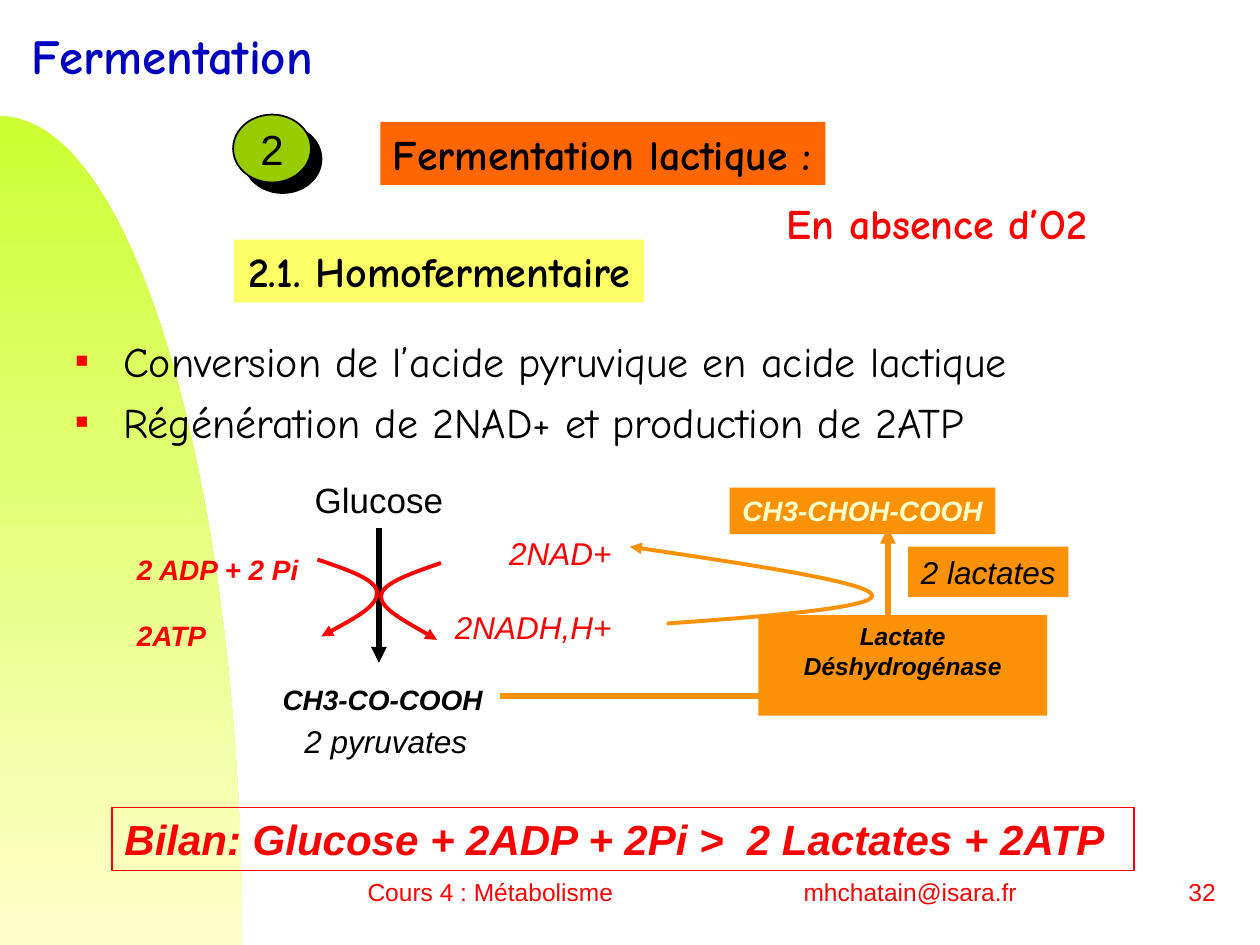
from pptx import Presentation
from pptx import util as u
from pptx.dml.color import RGBColor
from pptx.enum import shapes, text
from pptx.oxml import ns, xmlchemy

LEFT, CENTER, RIGHT = text.PP_ALIGN.LEFT, text.PP_ALIGN.CENTER, text.PP_ALIGN.RIGHT
BLACK, RED, ORANGE, CREAM = "000000", "FF0000", "FA9106", "FFFFCC"
TITLE_FONT, LABEL_FONT = "Comic Neue", "Arial"


def color(value):
    return RGBColor.from_string(value)


def add_xml(parent, tag, **attributes):
    child = xmlchemy.OxmlElement(tag)
    for name, value in attributes.items():
        child.set(name, str(value))
    parent.append(child)
    return child


def write(box, content, size=18, ink=BLACK, font=LABEL_FONT, bold=False, italic=False,
          align=CENTER, anchor=text.MSO_ANCHOR.TOP, wrap=False, gap=0, bullet=None):
    """Fill the box with one paragraph per line; gap is the space between them in points."""
    frame = box.text_frame
    frame.auto_size = text.MSO_AUTO_SIZE.NONE
    frame.word_wrap = wrap
    frame.vertical_anchor = anchor
    for index, line in enumerate(content.split("\n")):
        para = frame.add_paragraph() if index else frame.paragraphs[0]
        if bullet:
            add_bullet(para, bullet)
        para.alignment = align
        para.space_before = u.Pt(gap if index else 0)
        span = para.add_run()
        span.text = line
        span.font.name, span.font.size = font, u.Pt(size)
        span.font.bold, span.font.italic = bold, italic
        span.font.color.rgb = color(ink)


def add_bullet(para, ink):
    properties = para._p.get_or_add_pPr()
    properties.set("marL", str(u.Cm(0.96)))
    properties.set("indent", str(-u.Cm(0.96)))
    add_xml(add_xml(properties, "a:buClr"), "a:srgbClr", val=ink)
    add_xml(properties, "a:buSzPct", val=50000)
    add_xml(properties, "a:buFont", typeface=LABEL_FONT)
    add_xml(properties, "a:buChar", char="■")


def add_arrowhead(shape, end):
    outline = shape.element.spPr.find(ns.qn("a:ln"))
    add_xml(outline, f"a:{end}End", type="triangle")


def bend(shape):
    """Turn each three line segments of a freeform into one cubic curve."""
    for path in shape.element.iter(ns.qn("a:path")):
        lines = path.findall(ns.qn("a:lnTo"))
        for start in range(0, len(lines) - 2, 3):
            curve = xmlchemy.OxmlElement("a:cubicBezTo")
            lines[start].addprevious(curve)
            for line in lines[start:start + 3]:
                curve.append(line[0])
                path.remove(line)


class SlideBuilder:
    """Places elements on one slide, with lengths in centimetres."""

    def __init__(self, slide):
        self.slide = slide
        self.items = slide.shapes

    def placeholder(self, index, area, content, **style):
        box = self.slide.placeholders[index]
        box.left, box.top, box.width, box.height = map(u.Cm, area)
        write(box, content, font=TITLE_FONT, align=LEFT, **style)

    def label(self, area, content, **style):
        box = self.items.add_textbox(*map(u.Cm, area))
        write(box, content, **style)
        return box

    def panel(self, area, content, fill=None, line=None,
              kind=shapes.MSO_SHAPE.RECTANGLE, **style):
        box = self.items.add_shape(kind, *map(u.Cm, area))
        box.shadow.inherit = False
        if fill:
            box.fill.solid()
            box.fill.fore_color.rgb = color(fill)
        else:
            box.fill.background()
        if line:
            box.line.color.rgb = color(line)
            box.line.width = u.Pt(1)
        else:
            box.line.fill.background()
        write(box, content, **style)
        return box

    def outline(self, points, close=False):
        first, *rest = [(u.Cm(x), u.Cm(y)) for x, y in points]
        builder = self.items.build_freeform(*first)
        builder.add_line_segments(rest, close=close)
        shape = builder.convert_to_shape()
        shape.shadow.inherit = False
        return shape

    def path_arrow(self, points, ink, width=2.25, end="tail", curved=True):
        shape = self.outline(points)
        shape.fill.background()
        shape.line.color.rgb = color(ink)
        shape.line.width = u.Pt(width)
        add_arrowhead(shape, end)
        if curved:
            bend(shape)

    def arrow_down(self, origin, x, top, bottom):
        arrow = self.items.add_connector(
            shapes.MSO_CONNECTOR.STRAIGHT, *map(u.Cm, (x, top, x, bottom)))
        arrow.begin_connect(origin, 2)
        arrow.line.color.rgb = color(BLACK)
        arrow.line.width = u.Pt(3)
        add_arrowhead(arrow, "tail")
        add_xml(arrow.element.spPr, "a:effectLst")

    def backdrop(self, points, top_color, bottom_color):
        shape = self.outline(points, close=True)
        bend(shape)
        shape.line.fill.background()
        shape.fill.gradient()
        shape.fill.gradient_angle = 270
        for stop, value in zip(shape.fill.gradient_stops, (top_color, bottom_color)):
            stop.color.rgb = color(value)
        self.items.element.insert(2, shape.element)

    def numbered_disc(self, area, number):
        disc = self.panel(area, number, fill="99CC00", line=BLACK, size=24,
                          kind=shapes.MSO_SHAPE.OVAL, anchor=text.MSO_ANCHOR.MIDDLE)
        effects = disc.element.spPr.find(ns.qn("a:effectLst"))
        shadow = add_xml(effects, "a:outerShdw", dist=u.Pt(8.5), dir=45 * 60000,
                         algn="ctr", rotWithShape=0)
        add_xml(shadow, "a:srgbClr", val="010000")


def main():
    deck = Presentation()
    deck.slide_width, deck.slide_height = u.Cm(25.4), u.Cm(19.05)
    page = SlideBuilder(deck.slides.add_slide(deck.slide_layouts[1]))
    middle = text.MSO_ANCHOR.MIDDLE
    heading = dict(size=24, font=TITLE_FONT, bold=True)
    formula = dict(size=16, bold=True, italic=True)

    page.backdrop([(0, 2.34), (2.69, 2.34), (4.88, 9.83), (4.88, 19.05), (0, 19.05)],
                  "CCFF33", CREAM)
    page.placeholder(0, (0.38, 0.38, 14.33, 1.45), "Fermentation",
                     size=28, ink="0000BF", bold=True, wrap=True)
    page.placeholder(1, (1.27, 6.63, 23.24, 2.79),
                     "Conversion de l’acide pyruvique en acide lactique\n"
                     "Régénération de 2NAD+ et production de 2ATP",
                     size=24, ink="010000", gap=6, bullet=RED, wrap=True)

    # Headings
    page.numbered_disc((4.7, 2.31, 1.57, 1.37), "2")
    page.label((12.88, 3.68, 12.01, 1.63), "En absence d’O2", ink=RED,
               anchor=middle, wrap=True, **heading)
    page.panel((7.67, 2.46, 8.97, 1.27), "Fermentation lactique :", fill="FF6600",
               align=LEFT, **heading)
    page.panel((4.72, 4.83, 8.26, 1.27), "2.1. Homofermentaire", fill="FFFF66", **heading)

    # Glucose to pyruvate
    glucose = page.label((6.09, 9.53, 3.1, 1.11), "Glucose", size=20)
    page.arrow_down(glucose, 7.64, 10.64, 13.36)
    page.label((5.44, 13.64, 4.55, 0.94), "CH3-CO-COOH", **formula)
    page.label((5.89, 14.43, 3.78, 1.02), "2 pyruvates", italic=True)

    # Pyruvate to lactate
    page.panel((14.71, 9.83, 5.36, 0.94), "CH3-CHOH-COOH", fill=ORANGE, ink=CREAM, **formula)
    page.path_arrow([(17.9, 10.64), (17.9, 14.03), (10.09, 14.03)], ORANGE,
                    width=3, end="head", curved=False)
    page.panel((18.31, 11.02, 3.23, 1.02), "2 lactates", fill=ORANGE, italic=True)

    # Cofactors
    page.label((8.92, 10.64, 3.66, 2.54), "2NAD+\n2NADH,H+", ink=RED, italic=True,
               align=RIGHT, gap=20.7)
    page.label((2.51, 11.02, 3.81, 2.29), "2 ADP + 2 Pi\n2ATP", ink=RED,
               align=LEFT, gap=18.4, **formula)
    page.path_arrow([(6.4, 11.28), (6.99, 11.48), (7.59, 11.68), (7.6, 11.94),
                     (7.62, 12.22), (7.04, 12.52), (6.48, 12.83)], RED)
    page.path_arrow([(8.89, 11.35), (8.28, 11.56), (7.7, 11.76), (7.68, 12.01),
                     (7.67, 12.27), (8.26, 12.57), (8.81, 12.9)], RED)
    page.path_arrow([(13.44, 12.57), (15.57, 12.42), (17.7, 12.24), (17.58, 11.99),
                     (17.45, 11.73), (15.09, 11.38), (12.7, 11.02)], ORANGE)
    page.panel((15.29, 12.4, 5.82, 2.03), "Lactate\nDéshydrogénase", fill=ORANGE,
               size=14, bold=True, italic=True, wrap=True)

    # Balance and footer
    page.panel((2.26, 16.28, 20.6, 1.27), "Bilan: Glucose + 2ADP + 2Pi >  2 Lactates + 2ATP",
               line=RED, size=24, ink=RED, bold=True, italic=True, align=LEFT)
    footer = dict(size=14, ink=RED, anchor=middle, wrap=True)
    page.label((7.16, 17.35, 5.5, 1.27), "Cours 4 : Métabolisme", align=LEFT, **footer)
    page.label((15.95, 17.35, 5.5, 1.27), "mhchatain@isara.fr", align=LEFT, **footer)
    page.label((19.48, 17.35, 5.28, 1.27), "32", align=RIGHT, **footer)
    deck.save("out.pptx")


if __name__ == "__main__":
    main()
